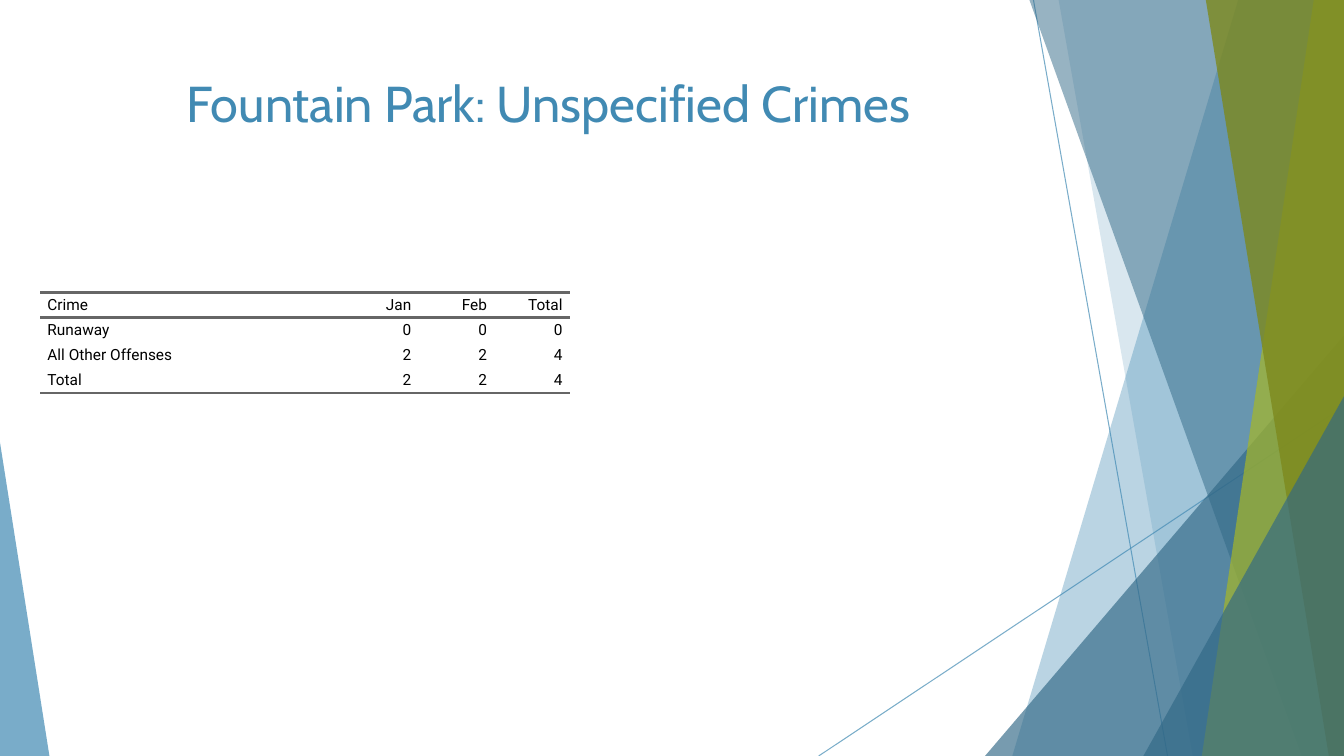
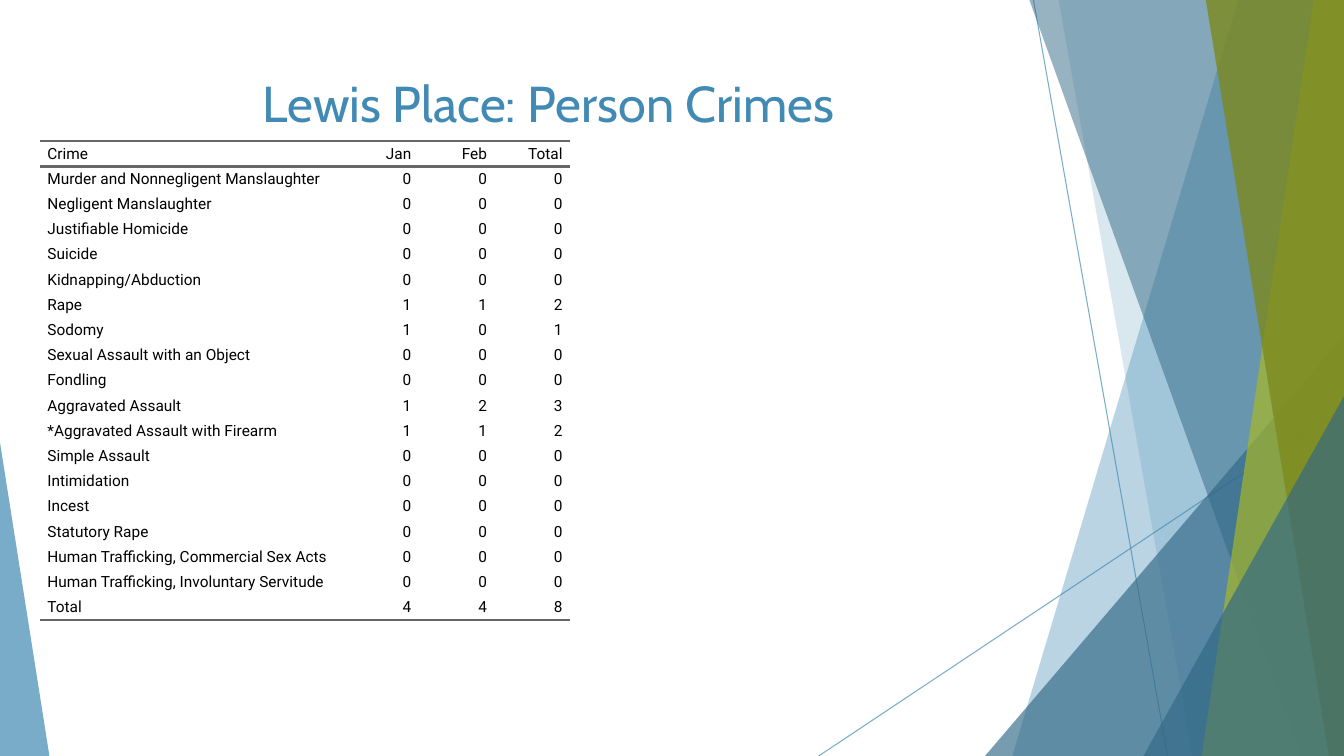
from collections import namedtuple
from dataclasses import dataclass

from lxml.etree import SubElement
from pptx import Presentation
from pptx.dml.color import RGBColor
from pptx.enum.shapes import MSO_CONNECTOR, MSO_SHAPE
from pptx.enum.text import MSO_ANCHOR, PP_ALIGN
from pptx.oxml.ns import qn
from pptx.util import Inches, Pt

Box = namedtuple("Box", "left top width height")


@dataclass(frozen=True)
class Theme:
    blue: str = "418AB3"
    deep_blue: str = "316886"
    lime: str = "A6B727"
    olive: str = "7D891D"
    ink: str = "000000"
    rule: str = "666666"
    title_font: str = "Cabin"
    table_font: str = "Roboto"
    title_size: int = 36
    table_size: int = 11
    hairline: float = 0.75
    rule_width: int = 2


THEME = Theme()
NO_TABLE_STYLE = "{2D5ABB26-0587-4C30-8999-92F81FD0307C}"

SLIDE = Box(0, 0, 13.33, 7.5)
FACETS = Box(8, 0, 5.33, 7.5)
CORNER = Box(0, 4.39, 0.49, 3.11)
TITLE = Box(0.74, 0.67, 9.4, 1.44)

TABLE_LEFT = 0.4
COLUMN_WIDTHS = (3, 0.75, 0.75, 0.75)
ROW_HEIGHT = 0.25
CELL_INDENT = 0.07
HEADINGS = ("Crime", "Jan", "Feb", "Total")

UNSPECIFIED_CRIMES = [
    ("Runaway", 0, 0),
    ("All Other Offenses", 2, 2),
]
PERSON_CRIMES = [
    ("Murder and Nonnegligent Manslaughter", 0, 0),
    ("Negligent Manslaughter", 0, 0),
    ("Justifiable Homicide", 0, 0),
    ("Suicide", 0, 0),
    ("Kidnapping/Abduction", 0, 0),
    ("Rape", 1, 1),
    ("Sodomy", 1, 0),
    ("Sexual Assault with an Object", 0, 0),
    ("Fondling", 0, 0),
    ("Aggravated Assault", 1, 2),
    ("*Aggravated Assault with Firearm", 1, 1),
    ("Simple Assault", 0, 0),
    ("Intimidation", 0, 0),
    ("Incest", 0, 0),
    ("Statutory Rape", 0, 0),
    ("Human Trafficking, Commercial Sex Acts", 0, 0),
    ("Human Trafficking, Involuntary Servitude", 0, 0),
]


def write(frame, text, *, font, size, color, align=PP_ALIGN.LEFT, spacing=0, indent=0):
    """Set one paragraph; spacing is in points, the side indent in inches."""
    para = frame.paragraphs[0]
    para.alignment = align
    para.space_before = para.space_after = Pt(spacing)
    properties = para._p.get_or_add_pPr()
    for side in ("marL", "marR"):
        properties.set(side, str(Inches(indent)))
    properties.set("indent", "0")
    span = para.add_run()
    span.text = text
    span.font.name = font
    span.font.size = Pt(size)
    span.font.color.rgb = RGBColor.from_string(color)


def set_opacity(shape, percent):
    """Apply opacity to the only colour in the shape's own properties."""
    color = next(shape._element.spPr.iter(qn("a:srgbClr")))
    SubElement(color, qn("a:alpha"), val=str(percent * 1000))


def paint(shape, color, opacity):
    shape.shadow.inherit = False
    shape.line.fill.background()
    shape.fill.solid()
    shape.fill.fore_color.rgb = RGBColor.from_string(color)
    set_opacity(shape, opacity)


def add_hairline(page, start, end):
    points = [Inches(value) for value in (*start, *end)]
    line = page.shapes.add_connector(MSO_CONNECTOR.STRAIGHT, *points)
    line.line.width = Pt(THEME.hairline)
    line.line.color.rgb = RGBColor.from_string(THEME.blue)
    set_opacity(line, 70)
    SubElement(line._element.spPr, qn("a:effectLst"))


def add_band(page, box, top_x, bottom_x, color, opacity):
    """Fill the box from a slanted left edge to its right side."""
    right, bottom = box.left + box.width, box.top + box.height
    corners = [
        (box.left + top_x, box.top),
        (right, box.top),
        (right, bottom),
        (box.left + bottom_x, bottom),
    ]
    points = [(Inches(x), Inches(y)) for x, y in corners]
    outline = page.shapes.build_freeform(*points[0], scale=1.0)
    outline.add_line_segments(points[1:], close=True)
    paint(outline.convert_to_shape(), color, opacity)


def add_triangle(page, box, apex, color, opacity):
    """Draw a triangle whose apex is a share of the width from the left."""
    triangle = page.shapes.add_shape(
        MSO_SHAPE.ISOSCELES_TRIANGLE, *[Inches(value) for value in box]
    )
    triangle.adjustments[0] = apex
    paint(triangle, color, opacity)


def add_lower_triangle(page, box, x, y):
    """Draw a triangle that fills the box's lower right from the offset x, y."""
    area = Box(box.left + x, box.top + y, box.width - x, box.height - y)
    add_triangle(page, area, 1, THEME.deep_blue, 66)


def add_facets(page, box):
    right, bottom = box.left + box.width, box.top + box.height
    add_hairline(page, (box.left + 2.25, box.top), (box.left + 3.58, bottom))
    add_hairline(page, (right, box.top + 4.03), (box.left + 0.12, bottom))
    add_band(page, box, 4.28, 2.04, THEME.blue, 36)
    add_band(page, box, 2.5, 3.83, THEME.blue, 20)
    add_lower_triangle(page, box, 1.77, 3.33)
    add_band(page, box, 2.21, 4.91, THEME.deep_blue, 50)
    add_band(page, box, 5.03, 3.92, THEME.lime, 70)
    add_band(page, box, 3.96, 5.18, THEME.olive, 80)
    add_lower_triangle(page, box, 3.34, 3.93)


def add_title(page, box, text):
    frame = page.shapes.add_textbox(*[Inches(value) for value in box]).text_frame
    frame.word_wrap = True
    write(frame, text, font=THEME.title_font, size=THEME.title_size,
          color=THEME.blue, align=PP_ALIGN.CENTER)


def add_rule(cell, edge):
    """Rule a cell's edge, named lnT or lnB."""
    properties = cell._tc.get_or_add_tcPr()
    line = SubElement(properties, qn(f"a:{edge}"), w=str(Pt(THEME.rule_width)))
    fill = SubElement(line, qn("a:solidFill"))
    SubElement(fill, qn("a:srgbClr"), val=THEME.rule)


def fill_cell(cell, value, align, edges):
    cell.margin_left = cell.margin_right = cell.margin_top = cell.margin_bottom = 0
    cell.vertical_anchor = MSO_ANCHOR.MIDDLE
    for edge in edges:
        add_rule(cell, edge)
    cell.fill.background()
    write(cell.text_frame, str(value), font=THEME.table_font, size=THEME.table_size,
          color=THEME.ink, align=align, spacing=5, indent=CELL_INDENT)


def add_crime_table(page, left, top, crimes):
    """Add the counts with a total for each crime and each month."""
    totals = ("Total", sum(row[1] for row in crimes), sum(row[2] for row in crimes))
    counts = [(name, jan, feb, jan + feb) for name, jan, feb in [*crimes, totals]]
    rows = [HEADINGS, *counts]
    box = Box(left, top, sum(COLUMN_WIDTHS), ROW_HEIGHT * len(rows))
    table = page.shapes.add_table(
        len(rows), len(HEADINGS), *[Inches(value) for value in box]
    ).table
    table.first_row = table.horz_banding = False
    table._tbl.tblPr.find(qn("a:tableStyleId")).text = NO_TABLE_STYLE
    for column, width in zip(table.columns, COLUMN_WIDTHS):
        column.width = Inches(width)
    edges = {0: ("lnT", "lnB"), len(rows) - 1: ("lnB",)}
    for row_index, row in enumerate(rows):
        table.rows[row_index].height = Inches(ROW_HEIGHT)
        for column_index, value in enumerate(row):
            align = PP_ALIGN.RIGHT if column_index else PP_ALIGN.LEFT
            fill_cell(table.cell(row_index, column_index), value, align,
                      edges.get(row_index, ()))


def add_crime_slide(deck, title, table_top, crimes):
    page = deck.slides.add_slide(deck.slide_layouts[6])
    add_facets(page, FACETS)
    add_triangle(page, CORNER, 0, THEME.blue, 70)
    add_crime_table(page, TABLE_LEFT, table_top, crimes)
    add_title(page, TITLE, title)


def main():
    deck = Presentation()
    deck.slide_width = Inches(SLIDE.width)
    deck.slide_height = Inches(SLIDE.height)
    add_crime_slide(deck, "Fountain Park: Unspecified Crimes", 2.9, UNSPECIFIED_CRIMES)
    add_crime_slide(deck, "Lewis Place: Person Crimes", 1.4, PERSON_CRIMES)
    deck.save("out.pptx")


if __name__ == "__main__":
    main()
